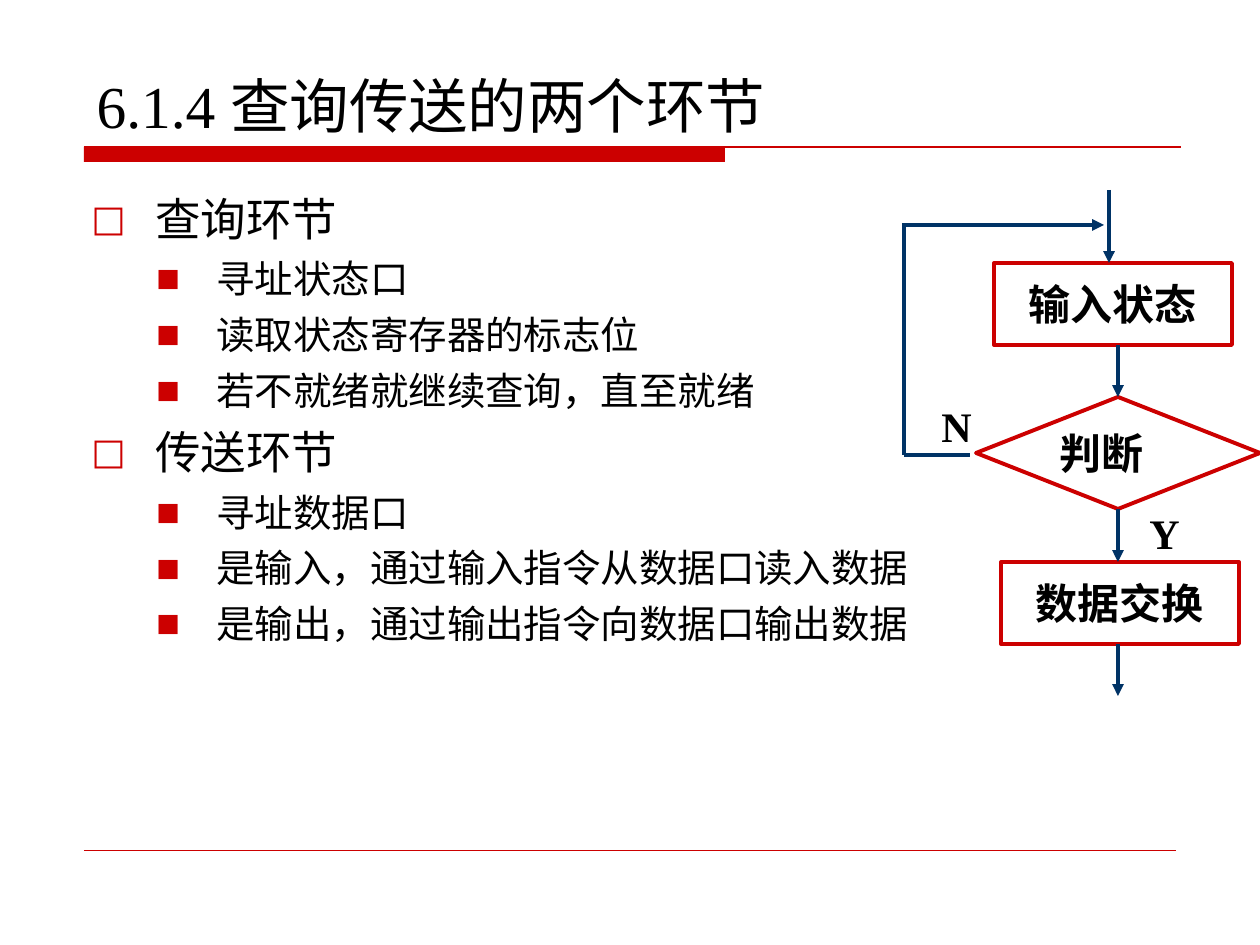
from lxml import etree
from pptx import Presentation
from pptx.dml.color import RGBColor
from pptx.enum.shapes import MSO_CONNECTOR, MSO_SHAPE
from pptx.enum.text import MSO_ANCHOR, MSO_AUTO_SIZE, PP_ALIGN
from pptx.oxml.ns import qn
from pptx.util import Pt

PX = 914400 / 126
LINE = MSO_CONNECTOR.STRAIGHT
RECT, DIAMOND = MSO_SHAPE.RECTANGLE, MSO_SHAPE.DIAMOND
LEFT, CENTER = PP_ALIGN.LEFT, PP_ALIGN.CENTER
BOTTOM, MIDDLE = MSO_ANCHOR.BOTTOM, MSO_ANCHOR.MIDDLE
NONE, GROW = MSO_AUTO_SIZE.NONE, MSO_AUTO_SIZE.SHAPE_TO_FIT_TEXT
SERIF, SANS = "Times New Roman", "DejaVu Sans"
COLORS = {"red": "CC0000", "navy": "003366", "black": "000000"}
RGB = {name: RGBColor.from_string(code) for name, code in COLORS.items()}

deck = Presentation()
deck.slide_width, deck.slide_height = int(1260 * PX), int(945 * PX)
slide = deck.slides.add_slide(deck.slide_layouts[5])
shapes = slide.shapes


def add_run(para, text, size, bold=False, font=SERIF):
    run = para.add_run()
    run.text = text
    run.font.name = font
    run.font.size = Pt(size)
    run.font.bold = bold
    run.font.color.rgb = RGB["black"]


def add_line(ends, color, width, arrow=False):
    line = shapes.add_connector(LINE, *[int(n * PX) for n in ends])
    line.line.color.rgb = RGB[color]
    line.line.width = Pt(width)
    if arrow:
        etree.SubElement(line.line._get_or_add_ln(), qn("a:tailEnd"), type="triangle")
    etree.SubElement(line._element.spPr, qn("a:effectLst"))


# Rules above and below the content
bar = shapes.add_shape(RECT, *[int(n * PX) for n in (84, 147, 641, 15)])
bar.shadow.inherit = False
bar.fill.solid()
bar.fill.fore_color.rgb = RGB["red"]
bar.line.fill.background()
add_line((84, 147, 1181, 147), "red", 0.75)
add_line((84, 850, 1176, 850), "red", 0.25)

# Title
title = shapes.title
title.left, title.top, title.width, title.height = [int(n * PX) for n in (84, 63, 958, 84)]
frame = title.text_frame
frame.auto_size = NONE
frame.vertical_anchor = BOTTOM
para = frame.paragraphs[0]
para.alignment = LEFT
add_run(para, "6.1.4 ", 34)
add_run(para, "查询传送的两个环节", 34, font=SANS)

# Bullet list
ITEMS = [
    (0, "查询环节"),
    (1, "寻址状态口"),
    (1, "读取状态寄存器的标志位"),
    (1, "若不就绪就继续查询，直至就绪"),
    (0, "传送环节"),
    (1, "寻址数据口"),
    (1, "是输入，通过输入指令从数据口读入数据"),
    (1, "是输出，通过输出指令向数据口输出数据"),
]
# size, space before, margin, indent, bullet, bullet percent
LEVELS = [(26, 6.5, 64, 64, "□", 80), (22, 5.5, 125, 60, "■", 65)]
body = shapes.add_textbox(*[int(n * PX) for n in (79, 185, 927, 604)])
frame = body.text_frame
frame.word_wrap = True
for i, (level, text) in enumerate(ITEMS):
    size, gap, margin, indent, mark, pct = LEVELS[level]
    para = frame.add_paragraph() if i else frame.paragraphs[0]
    para.level = level
    para.space_before = Pt(gap)
    props = para._p.get_or_add_pPr()
    props.set("marL", str(int(margin * PX)))
    props.set("indent", str(int(-indent * PX)))
    tint = etree.SubElement(props, qn("a:buClr"))
    etree.SubElement(tint, qn("a:srgbClr"), val=COLORS["red"])
    etree.SubElement(props, qn("a:buSzPct"), val=str(pct * 1000))
    etree.SubElement(props, qn("a:buFont"), typeface=SANS)
    etree.SubElement(props, qn("a:buChar"), char=mark)
    add_run(para, text, size)

# Flowchart steps
STEPS = [
    (RECT, (994, 263, 238, 82), "输入状态", CENTER),
    (DIAMOND, (976, 397, 284, 112), "判断", LEFT),
    (RECT, (1001, 562, 238, 82), "数据交换", CENTER),
]
for kind, place, text, align in STEPS:
    step = shapes.add_shape(kind, *[int(n * PX) for n in place])
    step.shadow.inherit = False
    step.fill.background()
    step.line.color.rgb = RGB["red"]
    step.line.width = Pt(2.25)
    frame = step.text_frame
    frame.word_wrap = False
    frame.vertical_anchor = MIDDLE
    para = frame.paragraphs[0]
    para.alignment = align
    add_run(para, text, 24, True)

# Flow: down the middle, and back up the left side
FLOW = [
    ((1109, 190, 1109, 263), True),
    ((1118, 345, 1118, 397), True),
    ((1118, 509, 1118, 562), True),
    ((1118, 644, 1118, 696), True),
    ((970, 455, 904, 455), False),
    ((904, 455, 904, 225), False),
    ((902, 225, 1104, 225), True),
]
for ends, arrow in FLOW:
    add_line(ends, "navy", 2.25, arrow)

# Branch labels
for text, left, top in [("N", 929, 394), ("Y", 1137, 501)]:
    label = shapes.add_textbox(*[int(n * PX) for n in (left, top, 94, 63)])
    frame = label.text_frame
    frame.word_wrap = True
    frame.auto_size = GROW
    add_run(frame.paragraphs[0], text, 24, True)

deck.save("out.pptx")
